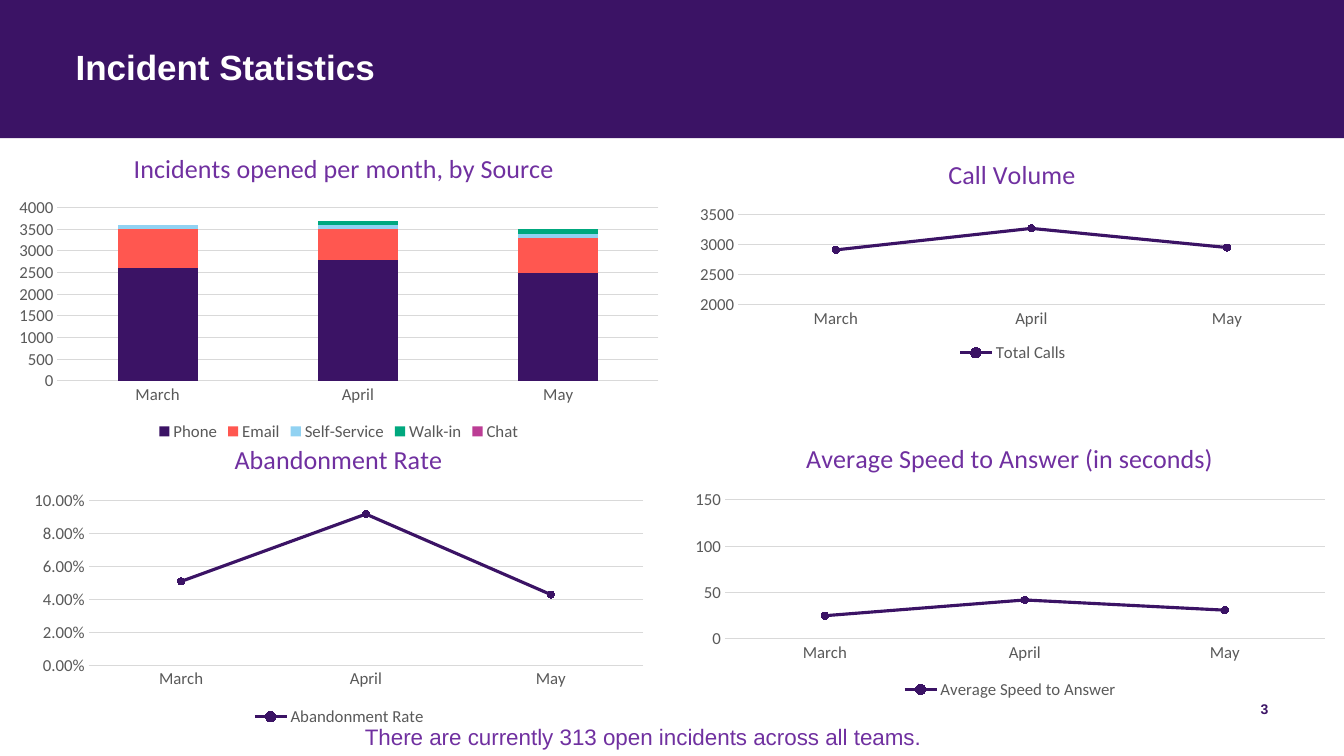
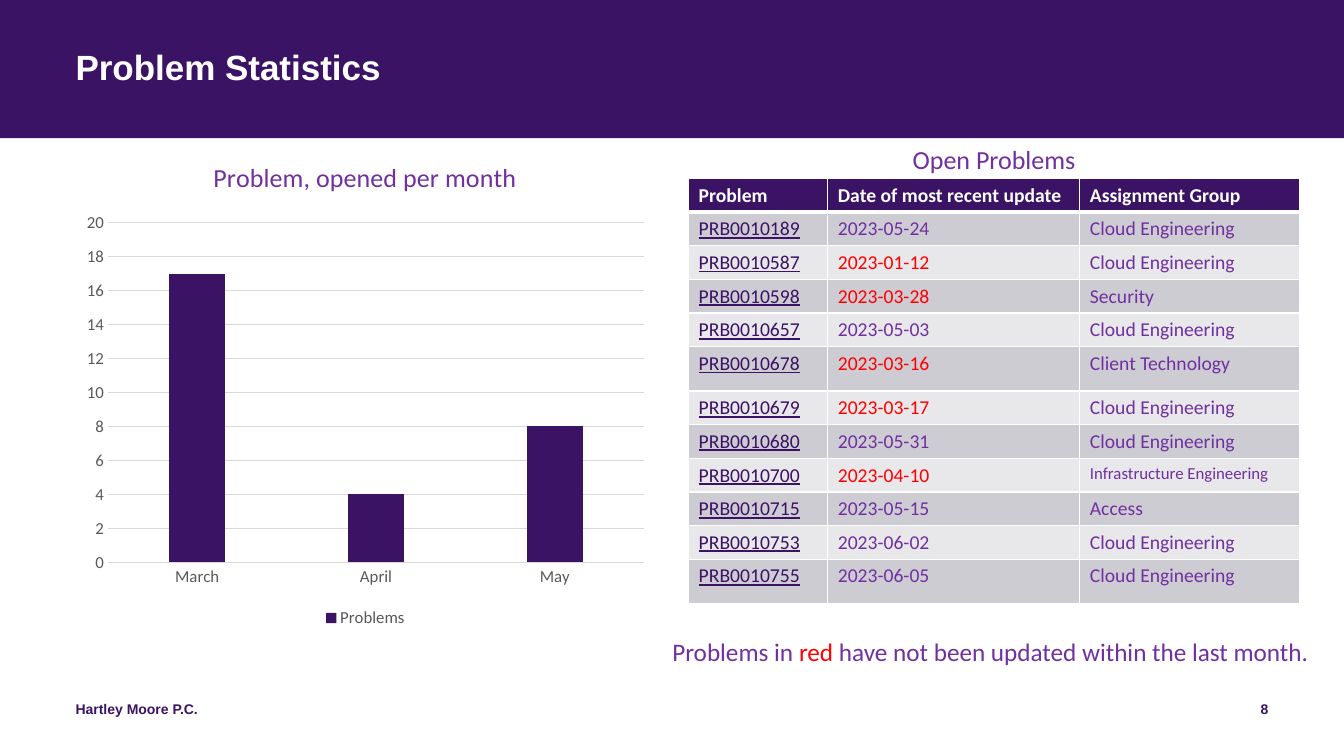
import pptx
import pptx.util
import pptx.chart.data
import pptx.dml.color
import pptx.enum.chart
import pptx.enum.shapes
import pptx.enum.text
import pptx.oxml
import pptx.oxml.ns

THEME = dict(
    purple="3B1365", violet="7030A0", red="FF0000", white="FFFFFF", grey="595959", rule="D9D9D9",
    link="3B1264", row_dark="CECCD3", row_light="E8E7EA",
    series=["3B1365", "FF5750", "91D2F2", "00A87E", "BC3D95"],
    head="Arial", body="Calibri",
    title=25, chart_title=18.6, note=18, message=16, cell=14, small=12, footer=10,
)
W, H, BAND = 13.33, 7.5, 1.37
MARGIN, FOOTER_TOP = 0.75, 6.95
MONTHS = ["March", "April", "May"]
inch, pt = pptx.util.Inches, pptx.util.Pt
rgb = pptx.dml.color.RGBColor.from_string
CT = pptx.enum.chart.XL_CHART_TYPE
ALIGN = pptx.enum.text.PP_ALIGN


def add_text(s, box, runs, size, font, bold=False, align=ALIGN.LEFT, inset=True):
    """Place a text box of (text, colour) runs and return its paragraph."""
    tf = s.shapes.add_textbox(*map(inch, box)).text_frame
    tf.word_wrap = True
    if not inset:
        tf.margin_left = tf.margin_right = tf.margin_top = tf.margin_bottom = 0
    p = tf.paragraphs[0]
    p.alignment = align
    for text, color in runs:
        r = p.add_run()
        r.text = text
        r.font.size, r.font.name, r.font.bold = pt(size), font, bold
        r.font.color.rgb = rgb(THEME[color])
    return p


def add_chart(s, kind, box, title, title_at, plot, scale, series, fmt="General"):
    """Place a titled chart; title_at and plot are slide positions in inches."""
    data = pptx.chart.data.CategoryChartData()
    data.categories = MONTHS
    for name, values in series:
        data.add_series(name, values)
    chart = s.shapes.add_chart(kind, *map(inch, box), data).chart
    chart.font.name, chart.font.size = THEME["body"], pt(THEME["small"])
    chart.font.color.rgb = rgb(THEME["grey"])

    # Title and legend
    chart.has_title = True
    chart.chart_title.text_frame.text = title
    font = chart.chart_title.text_frame.paragraphs[0].runs[0].font
    font.size, font.name, font.bold = pt(THEME["chart_title"]), THEME["body"], False
    font.color.rgb = rgb(THEME["violet"])
    chart.chart_title.include_in_layout = False
    chart.has_legend = True
    chart.legend.position = pptx.enum.chart.XL_LEGEND_POSITION.BOTTOM
    chart.legend.include_in_layout = False

    # Axes
    low, high, step = scale
    val, cat = chart.value_axis, chart.category_axis
    val.minimum_scale, val.maximum_scale, val.major_unit = low, high, step
    val.tick_labels.number_format, val.tick_labels.number_format_is_linked = fmt, False
    val.format.line.fill.background()
    for axis in (val, cat):
        axis.major_tick_mark = pptx.enum.chart.XL_TICK_MARK.NONE
    for line in (val.major_gridlines.format.line, cat.format.line):
        line.color.rgb, line.width = rgb(THEME["rule"]), pt(0.75)

    # Series
    for ser, color in zip(chart.plots[0].series, THEME["series"]):
        if kind == CT.LINE_MARKERS:
            ser.smooth = False
            ser.format.line.color.rgb, ser.format.line.width = rgb(color), pt(2.25)
            ser.marker.style, ser.marker.size = pptx.enum.chart.XL_MARKER_STYLE.CIRCLE, 5
            ser.marker.format.line.color.rgb = rgb(color)
            mark = ser.marker.format.fill
        else:
            mark = ser.format.fill
        mark.solid()
        mark.fore_color.rgb = rgb(color)
    chart.plots[0].vary_by_categories = False

    # Manual places, as shares of the chart
    area = chart._chartSpace.chart
    for parent, place, inner in ((area.find(pptx.oxml.ns.qn("c:title")), title_at, ""),
                                 (area.plotArea, plot, '<c:layoutTarget val="inner"/>')):
        for old in parent.findall(pptx.oxml.ns.qn("c:layout")):
            parent.remove(old)
        shares = [(place[0] - box[0]) / box[2], (place[1] - box[1]) / box[3]]
        shares += [n / d for n, d in zip(place[2:], box[2:])]
        modes = "".join(f'<c:{k}Mode val="edge"/>' for k in "xy")
        sizes = "".join(f'<c:{k} val="{v:.4f}"/>' for k, v in zip("xywh", shares))
        layout = pptx.oxml.parse_xml(
            f'<c:layout {pptx.oxml.ns.nsdecls("c")}><c:manualLayout>{inner}{modes}{sizes}'
            '</c:manualLayout></c:layout>')
        parent.insert(0 if inner else 1, layout)
    return chart


prs = pptx.Presentation()
prs.slide_width, prs.slide_height = inch(W), inch(H)

# Band, title and page number on every slide
slides = []
for title, number in (("Incident Statistics", "3"), ("Problem Statistics", "8")):
    s = prs.slides.add_slide(prs.slide_layouts[6])
    band = s.shapes.add_shape(pptx.enum.shapes.MSO_SHAPE.RECTANGLE, 0, 0, inch(W), inch(BAND))
    band.shadow.inherit = False
    band.fill.solid()
    band.fill.fore_color.rgb = rgb(THEME["purple"])
    band.line.fill.background()
    p = add_text(s, (MARGIN, 0.5, W - 2 * MARGIN, 0.81), [(title, "white")],
                 THEME["title"], THEME["head"], bold=True, inset=False)
    p.line_spacing = 0.9
    add_text(s, (W - MARGIN - 3, FOOTER_TOP, 3, 0.4), [(number, "purple")],
             THEME["footer"], THEME["head"], bold=True, align=ALIGN.RIGHT, inset=False)
    slides.append(s)
incidents, problems = slides

# Incident charts
sources = add_chart(
    incidents, CT.COLUMN_STACKED, (0.06, 1.36, 6.6, 3.06),
    "Incidents opened per month, by Source", (1.28, 1.44), (0.57, 2.06, 5.96, 1.72), (0, 4000, 500),
    [("Phone", (2600, 2800, 2500)), ("Email", (900, 700, 800)), ("Self-Service", (100, 100, 100)),
     ("Walk-in", (0, 100, 100)), ("Chat", (0, 0, 0))])
sources.plots[0].gap_width, sources.plots[0].overlap = 150, 100

for box, title, title_at, plot, scale, name, values, fmt in (
    ((6.82, 1.4, 6.45, 2.24), "Call Volume", (9.36, 1.5), (7.32, 2.13, 5.82, 0.89),
     (2000, 3500, 500), "Total Calls", (2910, 3270, 2950), "General"),
    ((0.22, 4.22, 6.29, 3.03), "Abandonment Rate", (2.28, 4.33), (0.88, 4.97, 5.5, 1.63),
     (0, 0.1, 0.02), "Abandonment Rate", (0.051, 0.092, 0.043), "0.00%"),
    ((6.77, 4.22, 6.5, 2.76), "Average Speed to Answer (in seconds)", (7.95, 4.32),
     (7.19, 4.96, 5.95, 1.38), (0, 150, 50), "Average Speed to Answer", (25, 42, 31), "General"),
):
    add_chart(incidents, CT.LINE_MARKERS, box, title, title_at, plot, scale, [(name, values)], fmt)

add_text(incidents, (3.52, 7.13, 5.96, 0.37),
         [("There are currently 313 open incidents across all teams.", "violet")],
         THEME["message"], THEME["head"])

# Problem chart
opened = add_chart(
    problems, CT.COLUMN_CLUSTERED, (MARGIN, 1.38, 5.75, 4.89),
    "Problem, opened per month", (2.07, 1.53), (1.07, 2.21, 5.32, 3.37), (0, 20, 2),
    [("Problems", (17, 4, 8))])
opened.plots[0].gap_width, opened.plots[0].overlap = 219, -27

# Open problems table
CLOUD = "Cloud Engineering"
rows = [
    ("Problem", "Date of most recent update", "Assignment Group"),
    ("PRB0010189", "2023-05-24", CLOUD),
    ("PRB0010587", "2023-01-12", CLOUD),
    ("PRB0010598", "2023-03-28", "Security"),
    ("PRB0010657", "2023-05-03", CLOUD),
    ("PRB0010678", "2023-03-16", "Client Technology"),
    ("PRB0010679", "2023-03-17", CLOUD),
    ("PRB0010680", "2023-05-31", CLOUD),
    ("PRB0010700", "2023-04-10", "Infrastructure Engineering"),
    ("PRB0010715", "2023-05-15", "Access"),
    ("PRB0010753", "2023-06-02", CLOUD),
    ("PRB0010755", "2023-06-05", CLOUD),
]
TABLE_LEFT, TABLE_TOP, TABLE_W, TABLE_H = 6.83, 1.77, 6.06, 4.2
TALL_ROWS, STALE_BEFORE = (5, 11), "2023-05-01"
table = problems.shapes.add_table(
    len(rows), 3, *map(inch, (TABLE_LEFT, TABLE_TOP, TABLE_W, TABLE_H))).table
for col, width in zip(table.columns, (1.38, 2.5, 2.18)):
    col.width = inch(width)
for i, row in enumerate(rows):
    table.rows[i].height = inch(0.44 if i in TALL_ROWS else 0.32)
    for j, text in enumerate(row):
        cell = table.cell(i, j)
        cell.text = text
        font = cell.text_frame.paragraphs[0].runs[0].font
        font.name, font.bold, font.underline = THEME["body"], i == 0, i > 0 and j == 0
        font.size = pt(THEME["small"] if text.startswith("Infra") else THEME["cell"])
        if i == 0:
            color, fill = "white", "purple"
        else:
            stale = j == 1 and text < STALE_BEFORE
            color = "link" if j == 0 else "red" if stale else "violet"
            fill = "row_dark" if i % 2 else "row_light"
        font.color.rgb = rgb(THEME[color])
        cell.fill.solid()
        cell.fill.fore_color.rgb = rgb(THEME[fill])
        for k, side in enumerate("LRTB"):
            heavy = (i == 0 and side == "B") or (i == 1 and side == "T")
            cell._tc.get_or_add_tcPr().insert(k, pptx.oxml.parse_xml(
                f'<a:ln{side} {pptx.oxml.ns.nsdecls("a")} w="{pt(3 if heavy else 1)}"><a:solidFill>'
                f'<a:srgbClr val="{THEME["white"]}"/></a:solidFill></a:ln{side}>'))

# Table heading, note and footer
add_text(problems, (TABLE_LEFT, BAND, TABLE_W, 0.41), [("Open Problems", "violet")],
         THEME["chart_title"], THEME["body"], align=ALIGN.CENTER)
add_text(problems, (6.57, 6.26, 6.59, 0.4),
         [("Problems in ", "violet"), ("red", "red"),
          (" have not been updated within the last month.", "violet")],
         THEME["note"], THEME["body"])
add_text(problems, (MARGIN, FOOTER_TOP, 4.5, 0.4), [("Hartley Moore P.C.", "purple")],
         THEME["footer"], THEME["head"], bold=True, inset=False)

prs.save("out.pptx")
